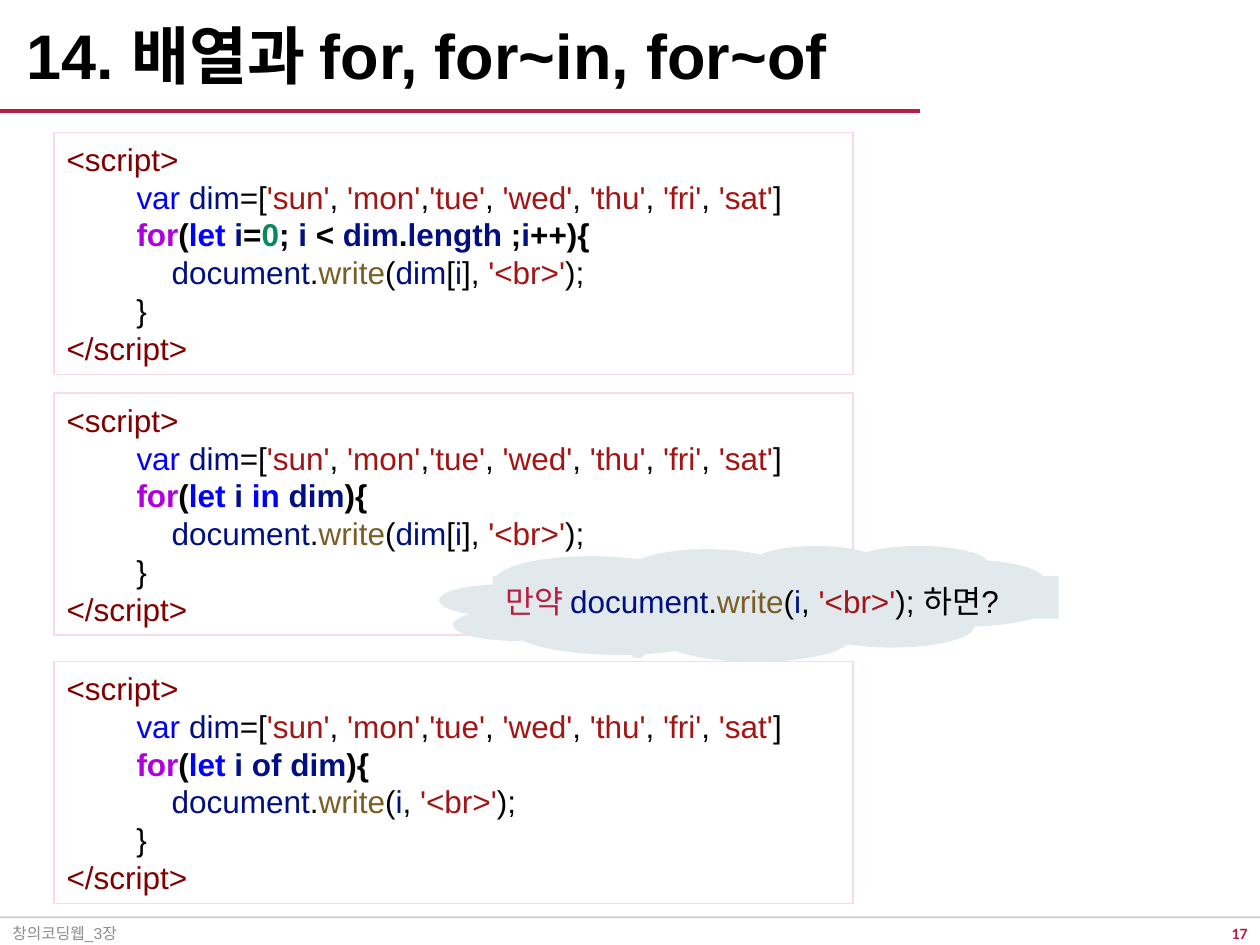
"""Build the slide on arrays with for, for~in and for~of loops."""
from lxml import etree
from pptx import Presentation
from pptx.dml.color import RGBColor
from pptx.enum.shapes import MSO_CONNECTOR, MSO_SHAPE
from pptx.enum.text import MSO_ANCHOR, MSO_AUTO_SIZE, PP_ALIGN
from pptx.oxml.ns import qn
from pptx.util import Inches, Pt

STRAIGHT = MSO_CONNECTOR.STRAIGHT
RECTANGLE, CLOUD = MSO_SHAPE.RECTANGLE, MSO_SHAPE.CLOUD_CALLOUT
TOP, MIDDLE = MSO_ANCHOR.TOP, MSO_ANCHOR.MIDDLE
LEFT, RIGHT = PP_ALIGN.LEFT, PP_ALIGN.RIGHT

BLACK = RGBColor(0x00, 0x00, 0x00)
RULE = RGBColor(0x00, 0x00, 0x01)
CRIMSON = RGBColor(0xB7, 0x1E, 0x42)
GRAY = RGBColor(0x8C, 0x8C, 0x8C)
MIST = RGBColor(0xE1, 0xE9, 0xEC)
PINK = RGBColor(0xF8, 0xDA, 0xE8)
TAG = RGBColor(0x80, 0x00, 0x00)
KEYWORD = RGBColor(0x00, 0x00, 0xFF)
VARIABLE = RGBColor(0x00, 0x10, 0x80)
STRING = RGBColor(0xA3, 0x15, 0x15)
LOOP = RGBColor(0xAF, 0x00, 0xDB)
NUMBER = RGBColor(0x09, 0x88, 0x5A)
METHOD = RGBColor(0x79, 0x5E, 0x26)

TITLE = "14. 배열과 for, for~in, for~of"
FOOTER = "창의코딩웹_3장"
PAGE = "17"
DAYS = ["sun", "mon", "tue", "wed", "thu", "fri", "sat"]
INDENT = " " * 8

WRITE = [("document", VARIABLE), (".", BLACK), ("write", METHOD), ("(", BLACK)]
INDEX = [("i", VARIABLE)]
ELEMENT = [("dim", VARIABLE), ("[", BLACK), ("i", VARIABLE), ("]", BLACK)]
BREAK = [(", ", BLACK), ("'<br>'", STRING)]
LOOPS = [
    ([("i", VARIABLE), ("=", BLACK), ("0", NUMBER), ("; ", BLACK),
      ("i", VARIABLE), (" < ", BLACK), ("dim", VARIABLE), (".", BLACK),
      ("length", VARIABLE), (" ;", BLACK), ("i", VARIABLE), ("++", BLACK)], ELEMENT),
    ([("i ", VARIABLE), ("in ", KEYWORD), ("dim", VARIABLE)], ELEMENT),
    ([("i of dim", VARIABLE)], INDEX),
]
QUESTION = [("만약 ", CRIMSON), *WRITE, *INDEX, *BREAK, ("); 하면?", BLACK)]

BOX_LEFT, BOX_WIDTH, BOX_HEIGHT = 0.43, 6.34, 1.92
BOX_TOPS = [1.05, 3.12, 5.25]
FOOTER_TOP, FOOTER_HEIGHT = 7.32, 0.17


def array_line():
    """Return the runs that declare the array of days."""
    runs = [(INDENT, BLACK), ("var ", KEYWORD), ("dim", VARIABLE), ("=[", BLACK)]
    for position, day in enumerate(DAYS):
        if position:
            runs.append(("," if day == "tue" else ", ", BLACK))
        runs.append((f"'{day}'", STRING))
    return runs + [("]", BLACK)]


def code_lines(header, argument):
    """Return (runs, bold) for each line of one script."""
    return [
        ([("<script>", TAG)], False),
        (array_line(), False),
        ([(INDENT, BLACK), ("for", LOOP), ("(", BLACK), ("let ", KEYWORD),
          *header, ("){", BLACK)], True),
        ([(INDENT + " " * 4, BLACK), *WRITE, *argument, *BREAK, (");", BLACK)], False),
        ([(INDENT + "}", BLACK)], False),
        ([("</script>", TAG)], False),
    ]


def write_lines(frame, lines, size=18, font="Arial", align=LEFT, anchor=MIDDLE, wrap=True):
    """Fill a text frame with lines of coloured runs."""
    frame.auto_size = MSO_AUTO_SIZE.NONE
    frame.word_wrap = wrap
    frame.vertical_anchor = anchor
    for number, (runs, bold) in enumerate(lines):
        paragraph = frame.add_paragraph() if number else frame.paragraphs[0]
        paragraph.alignment = align
        for text, colour in runs:
            run = paragraph.add_run()
            run.text = text
            run.font.size = Pt(size)
            run.font.name = font
            run.font.bold = bold
            run.font.color.rgb = colour


def add_block(slide, preset, place, fill=None, border=None):
    """Add a flat preset shape."""
    block = slide.shapes.add_shape(preset, *map(Inches, place))
    block.shadow.inherit = False
    if fill is None:
        block.fill.background()
    else:
        block.fill.solid()
        block.fill.fore_color.rgb = fill
    if border is None:
        block.line.fill.background()
    else:
        block.line.color.rgb = border
        block.line.width = Pt(0.75)
    return block


def add_rule(slide, top, length, colour, weight):
    """Add a horizontal rule from the left edge."""
    rule = slide.shapes.add_connector(
        STRAIGHT, 0, Inches(top), Inches(length), Inches(top))
    rule.line.color.rgb = colour
    rule.line.width = Pt(weight)
    etree.SubElement(rule._element.spPr, qn("a:effectLst"))
    return rule


def main():
    """Assemble and save the slide."""
    deck = Presentation()
    deck.slide_width, deck.slide_height = Inches(10), Inches(7.5)
    slide = deck.slides.add_slide(deck.slide_layouts[5])

    footer_rule = add_rule(slide, 7.28, 10, RULE, 1)
    rule_colour = footer_rule._element.spPr.find(".//" + qn("a:srgbClr"))
    etree.SubElement(rule_colour, qn("a:alpha"), val="20000")
    add_rule(slide, 0.88, 7.3, CRIMSON, 2.5)

    title = slide.shapes.title
    title.left, title.top, title.width, title.height = map(Inches, (0.11, 0.09, 7.19, 0.76))
    write_lines(title.text_frame, [([(TITLE, BLACK)], True)], size=36)
    title.text_frame.paragraphs[0].line_spacing = 0.9

    for left, width, text, font, colour, bold, align in [
        (0, 4.41, FOOTER, "Arial", GRAY, False, LEFT),
        (9.13, 0.87, PAGE, "Calibri", CRIMSON, True, RIGHT),
    ]:
        note = slide.shapes.add_textbox(
            *map(Inches, (left, FOOTER_TOP, width, FOOTER_HEIGHT)))
        write_lines(note.text_frame, [([(text, colour)], bold)], 9, font, align)

    for top, (header, argument) in zip(BOX_TOPS, LOOPS):
        script = add_block(
            slide, RECTANGLE, (BOX_LEFT, top, BOX_WIDTH, BOX_HEIGHT), border=PINK)
        write_lines(script.text_frame, code_lines(header, argument), wrap=False)

    cloud = add_block(slide, CLOUD, (3.49, 4.33, 4.9, 0.92), fill=MIST)
    cloud.adjustments[0], cloud.adjustments[1] = -0.11, 0.24
    question = add_block(slide, RECTANGLE, (3.91, 4.57, 4.49, 0.34), fill=MIST)
    write_lines(question.text_frame, [(QUESTION, False)], anchor=TOP)

    deck.save("out.pptx")


if __name__ == "__main__":
    main()
